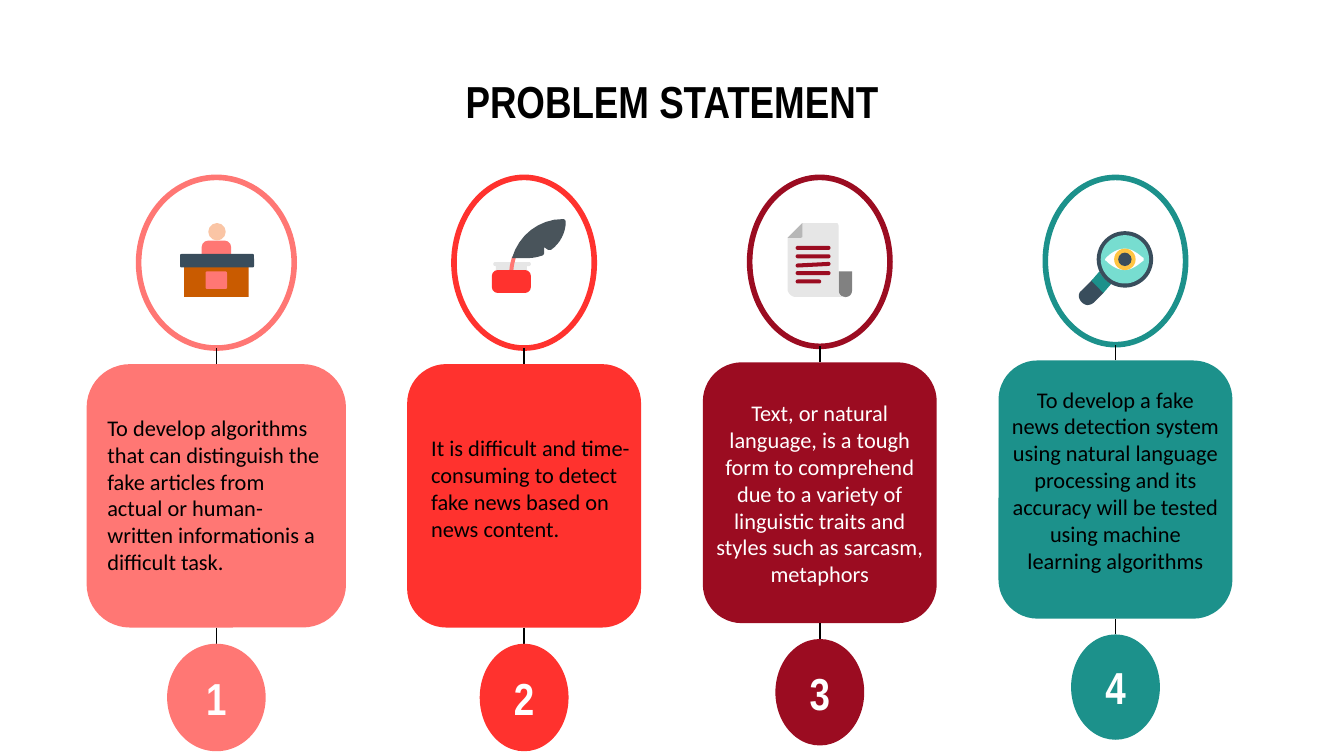
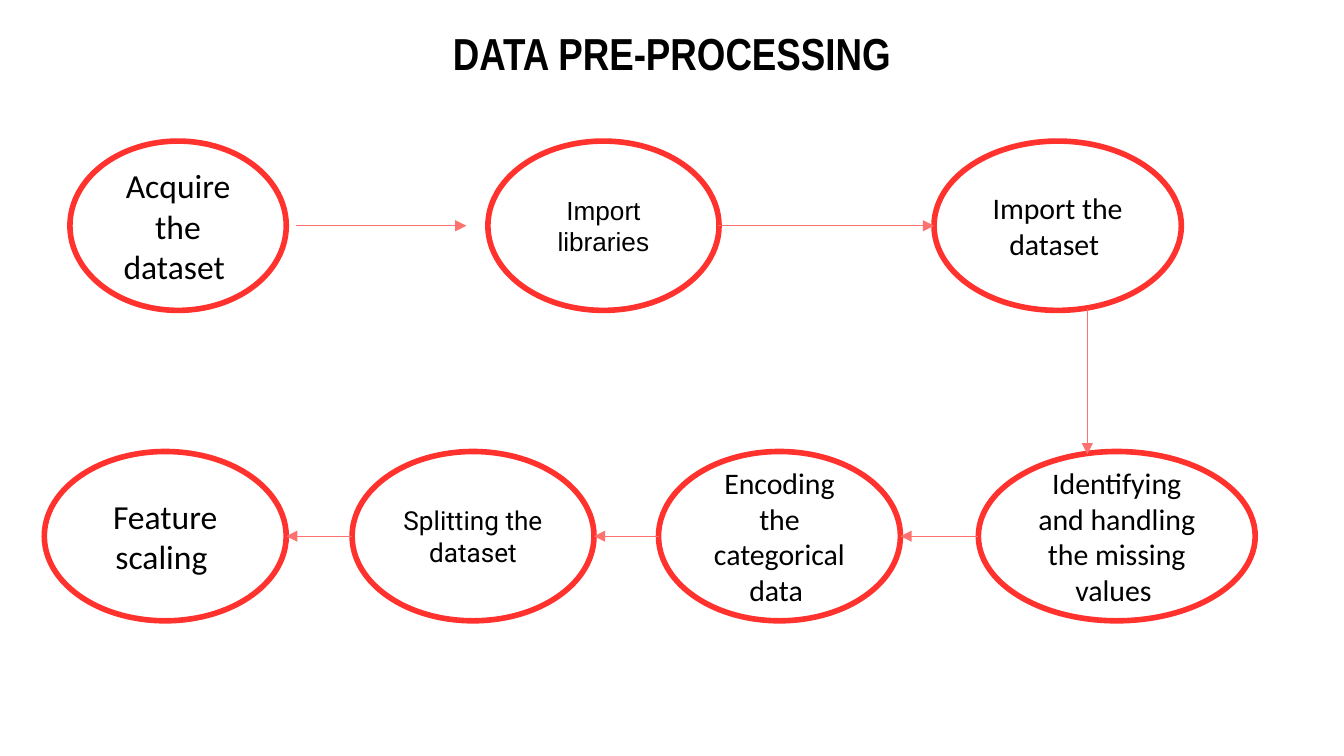
from lxml import etree
from pptx import Presentation
from pptx.dml.color import RGBColor
from pptx.enum.shapes import MSO_CONNECTOR, MSO_SHAPE
from pptx.enum.text import MSO_ANCHOR, MSO_AUTO_SIZE, PP_ALIGN
from pptx.oxml.ns import qn
from pptx.util import Inches, Pt

OVAL = MSO_SHAPE.OVAL
RECTANGLE = MSO_SHAPE.RECTANGLE
ROUNDED = MSO_SHAPE.ROUNDED_RECTANGLE
ROUNDED_TOP = MSO_SHAPE.ROUND_2_SAME_RECTANGLE
STRAIGHT = MSO_CONNECTOR.STRAIGHT
LEFT, CENTER = PP_ALIGN.LEFT, PP_ALIGN.CENTER
MIDDLE, TOP = MSO_ANCHOR.MIDDLE, MSO_ANCHOR.TOP
FIXED_SIZE = MSO_AUTO_SIZE.NONE

BLACK = RGBColor(0x00, 0x00, 0x00)
WHITE = RGBColor(0xFF, 0xFF, 0xFF)
CORAL = RGBColor(0xFF, 0x77, 0x74)
RED = RGBColor(0xFF, 0x32, 0x2E)
MAROON = RGBColor(0x9B, 0x0C, 0x21)
TEAL = RGBColor(0x1C, 0x91, 0x8B)
ARROW_PINK = RGBColor(0xFD, 0x71, 0x6E)
SKIN = RGBColor(0xFA, 0xC5, 0xA5)
WOOD = RGBColor(0xC9, 0x5B, 0x00)
NAVY = RGBColor(0x39, 0x4D, 0x5C)
AQUA = RGBColor(0x77, 0xDD, 0xD0)
AMBER = RGBColor(0xFF, 0xC5, 0x43)
SLATE = RGBColor(0x49, 0x54, 0x5B)
PAPER = RGBColor(0xE6, 0xE6, 0xE6)
FOLD_GRAY = RGBColor(0xB7, 0xB7, 0xB7)
CURL_GRAY = RGBColor(0x81, 0x81, 0x81)

HEADING_FONT = "Arial Narrow"
BODY_FONT = "Calibri"

# Problem columns: heights at full scale, widths as a share of the card
COLUMN_TOP = 1.32
RING_HEIGHT, CARD_HEIGHT, BADGE_HEIGHT, LINK_HEIGHT = 1.27, 1.96, 0.8, 0.12
RING_SHARE, BADGE_SHARE = 0.6, 0.38

# Colour, centre, card width, height scale, caption box, alignment, text colour, text
PROBLEMS = [
    (CORAL, 1.61, 1.93, 1, (0.7, 2.98, 1.81, 1.41), LEFT, BLACK,
     "To develop algorithms that can distinguish the fake articles from "
     "actual or human-written informationis a difficult task."),
    (RED, 3.9, 1.74, 1, (3.11, 3.13, 1.79, 1.42), LEFT, BLACK,
     "It is difficult and time-consuming to detect fake news based on "
     "news content."),
    (MAROON, 6.1, 1.74, 0.99, (5.23, 2.87, 1.74, 1.18), CENTER, WHITE,
     "Text, or natural language, is a tough form to comprehend due to a "
     "variety of linguistic traits and styles such as sarcasm, metaphors"),
    (TEAL, 8.3, 1.74, 0.98, (7.43, 2.77, 1.74, 1.9), CENTER, BLACK,
     "To develop a fake news detection system using natural language "
     "processing and its accuracy will be tested using machine learning "
     "algorithms"),
]

# Steps by row, left to right: left, width, text, size, font
STEP_HEIGHT = 1.26
UPPER_ROW, LOWER_ROW = 1.05, 3.36
UPPER_STEPS = [
    (0.52, 1.61, "Acquire the dataset ", 18, BODY_FONT),
    (3.63, 1.72, "Import libraries", 14, "Arial"),
    (6.95, 1.84, "Import the dataset ", 16, BODY_FONT),
]
LOWER_STEPS = [
    (0.33, 1.8, "Feature scaling ", 18, BODY_FONT),
    (2.62, 1.8, "Splitting the dataset", 14, "Roboto"),
    (4.9, 1.8, "Encoding the categorical data ", 16, BODY_FONT),
    (7.28, 2.06, "Identifying and handling the missing values ", 16, BODY_FONT),
]


def write(shape, text, size, font, color, align=CENTER, anchor=MIDDLE, bold=False):
    frame = shape.text_frame
    frame.text = text
    frame.word_wrap = True
    frame.auto_size = FIXED_SIZE
    frame.vertical_anchor = anchor
    frame.margin_left = frame.margin_right = Inches(0.1)
    frame.margin_top = frame.margin_bottom = Inches(0.1)
    paragraph = frame.paragraphs[0]
    paragraph.alignment = align
    for run in paragraph.runs:
        run.font.size = Pt(size)
        run.font.name = font
        run.font.bold = bold
        run.font.color.rgb = color


def paint(shape, fill, line=None):
    shape.shadow.inherit = False
    shape.fill.solid()
    shape.fill.fore_color.rgb = fill
    if line is None:
        shape.line.fill.background()
    else:
        shape.line.color.rgb = line
        shape.line.width = Pt(3)


def add_block(shapes, kind, box, fill, line=None, corner=None):
    shape = shapes.add_shape(kind, *map(Inches, box))
    paint(shape, fill, line)
    if corner is not None:
        shape.adjustments[0] = corner
    return shape


def add_disc(shapes, center_x, center_y, diameter, fill):
    radius = diameter / 2
    add_block(shapes, OVAL, (center_x - radius, center_y - radius, diameter, diameter), fill)


def add_outline(shapes, fill, start, *segments):
    """Two numbers make a straight segment, six a Bézier curve."""
    points = [start]
    for segment in segments:
        if len(segment) == 2:
            points.append(segment)
            continue
        x0, y0 = points[-1]
        x1, y1, x2, y2, x3, y3 = segment
        for step in range(1, 9):
            t = step / 8
            u = 1 - t
            weights = (u ** 3, 3 * u * u * t, 3 * u * t * t, t ** 3)
            points.append((sum(w * x for w, x in zip(weights, (x0, x1, x2, x3))),
                           sum(w * y for w, y in zip(weights, (y0, y1, y2, y3)))))
    points = [(Inches(x), Inches(y)) for x, y in points]
    builder = shapes.build_freeform(*points[0])
    builder.add_line_segments(points[1:], close=True)
    paint(builder.convert_to_shape(), fill)


def add_line(shapes, start, end, color, arrow=False):
    connector = shapes.add_connector(STRAIGHT, *map(Inches, (*start, *end)))
    connector.line.color.rgb = color
    connector.line.width = Pt(0.75)
    if arrow:
        etree.SubElement(connector.line._get_or_add_ln(), qn("a:tailEnd"), type="triangle")
    etree.SubElement(connector._element.spPr, qn("a:effectLst"))
    return connector


def add_titled_slide(presentation, text, top):
    slide = presentation.slides.add_slide(presentation.slide_layouts[5])
    title = slide.shapes.title
    title.left, title.top = Inches(0.5), Inches(top)
    title.width, title.height = Inches(9), Inches(0.63)
    write(title, text, 24, HEADING_FONT, BLACK, anchor=TOP, bold=True)
    return slide


def add_problem(slide, number, color, center, width, scale, caption_box, align,
                text_color, text):
    shapes = slide.shapes.add_group_shape().shapes
    ring_height, card_height, badge_height, link = (
        height * scale for height in (RING_HEIGHT, CARD_HEIGHT, BADGE_HEIGHT, LINK_HEIGHT))
    ring_bottom = COLUMN_TOP + ring_height
    card_top = ring_bottom + link
    card_bottom = card_top + card_height
    badge_top = card_bottom + link

    def centered(kind, top, part_width, height, fill, line=None):
        box = (center - part_width / 2, top, part_width, height)
        return add_block(shapes, kind, box, fill, line)

    card = centered(ROUNDED, card_top, width, card_height, color)
    centered(OVAL, COLUMN_TOP, width * RING_SHARE, ring_height, WHITE, color)
    for site, card_edge, far_end in ((0, card_top, ring_bottom), (2, card_bottom, badge_top)):
        link_line = add_line(shapes, (center, card_edge), (center, far_end), BLACK)
        link_line.begin_connect(card, site)
    badge = centered(OVAL, badge_top, width * BADGE_SHARE, badge_height, color)
    write(badge, str(number), 24, HEADING_FONT, WHITE, bold=True)
    caption = shapes.add_textbox(*map(Inches, caption_box))
    write(caption, text, 12, BODY_FONT, text_color, align, TOP)


def add_speaker_icon(shapes):
    add_block(shapes, ROUNDED_TOP, (1.5, 1.79, 0.22, 0.1), CORAL, corner=0.5)
    add_disc(shapes, 1.615, 1.725, 0.13, SKIN)
    add_block(shapes, RECTANGLE, (1.37, 1.98, 0.48, 0.23), WOOD)
    add_block(shapes, ROUNDED, (1.34, 1.89, 0.55, 0.1), NAVY, corner=0.1)
    add_block(shapes, ROUNDED, (1.53, 2.02, 0.16, 0.13), CORAL, corner=0.08)


def add_quill_icon(shapes):
    add_block(shapes, ROUNDED, (3.67, 1.95, 0.28, 0.03), PAPER, corner=0.5)
    add_block(shapes, RECTANGLE, (3.69, 1.97, 0.23, 0.05), PAPER)
    add_outline(shapes, CORAL, (3.81, 1.91), (3.8, 1.95, 3.79, 1.98, 3.79, 2.02),
                (3.82, 2.02), (3.82, 1.98, 3.83, 1.95, 3.84, 1.91))
    add_outline(shapes, SLATE, (4.19, 1.63), (4.01, 1.63, 3.86, 1.75, 3.81, 1.92),
                (3.94, 1.92), (3.97, 1.92, 4.01, 1.91, 4.04, 1.9),
                (4.04, 1.9, 4.05, 1.89, 4.05, 1.88), (4.05, 1.84), (4.08, 1.86),
                (4.1, 1.86), (4.17, 1.81, 4.21, 1.73, 4.21, 1.65),
                (4.21, 1.64, 4.2, 1.63, 4.19, 1.63))
    add_block(shapes, ROUNDED, (3.66, 2.01, 0.29, 0.17), RED, corner=0.25)


def add_article_icon(shapes):
    add_outline(shapes, CURL_GRAY, (6.24, 2.02), (6.24, 2.16),
                (6.24, 2.19, 6.26, 2.21, 6.29, 2.21),
                (6.32, 2.21, 6.34, 2.19, 6.34, 2.16), (6.34, 2.02))
    add_outline(shapes, PAPER, (5.97, 1.66), (5.86, 1.77), (5.86, 2.15),
                (5.86, 2.18, 5.89, 2.21, 5.92, 2.21), (6.29, 2.21),
                (6.26, 2.21, 6.24, 2.19, 6.24, 2.16), (6.24, 1.68),
                (6.24, 1.67, 6.23, 1.66, 6.23, 1.66))
    add_outline(shapes, FOLD_GRAY, (5.97, 1.66), (5.86, 1.77), (5.95, 1.77),
                (5.96, 1.77, 5.97, 1.77, 5.97, 1.76))
    for row, (width, tilt) in enumerate([(0.26, 0), (0.26, 0), (0.26, -3), (0.26, 0), (0.19, 0)]):
        text_line = add_block(shapes, ROUNDED, (5.92, 1.83 + row * 0.25 / 4, width, 0.03),
                              MAROON, corner=0.5)
        text_line.rotation = tilt


def add_magnifier_icon(shapes):
    add_outline(shapes, NAVY, (8.13, 2.08), (8.05, 2.16),
                (8.02, 2.18, 8.02, 2.22, 8.05, 2.25),
                (8.06, 2.26, 8.08, 2.27, 8.09, 2.27),
                (8.11, 2.27, 8.13, 2.26, 8.14, 2.25), (8.21, 2.18), (8.21, 2.17))
    add_outline(shapes, TEAL, (8.18, 2.02), (8.12, 2.09), (8.21, 2.18), (8.27, 2.11),
                (8.23, 2.09, 8.2, 2.06, 8.18, 2.02))
    for diameter, fill in ((0.42, NAVY), (0.36, AQUA)):
        add_disc(shapes, 8.37, 1.93, diameter, fill)
    add_outline(shapes, WHITE, (8.37, 1.85), (8.29, 1.85, 8.23, 1.92, 8.23, 1.92),
                (8.22, 1.93, 8.22, 1.94, 8.23, 1.94),
                (8.23, 1.94, 8.29, 2.01, 8.37, 2.01),
                (8.44, 2.01, 8.5, 1.94, 8.51, 1.94),
                (8.51, 1.94, 8.51, 1.93, 8.51, 1.92),
                (8.5, 1.92, 8.44, 1.85, 8.37, 1.85))
    for diameter, fill in ((0.16, AMBER), (0.1, NAVY)):
        add_disc(shapes, 8.37, 1.93, diameter, fill)


def add_step_row(slide, top, steps):
    for left, width, text, size, font in steps:
        step = add_block(slide.shapes, OVAL, (left, top, width, STEP_HEIGHT), WHITE, RED)
        write(step, text, size, font, BLACK)


def build_problem_slide(presentation):
    slide = add_titled_slide(presentation, "PROBLEM STATEMENT", 0.45)
    for number, problem in enumerate(PROBLEMS, 1):
        add_problem(slide, number, *problem)
    for add_icon in (add_speaker_icon, add_quill_icon, add_article_icon, add_magnifier_icon):
        add_icon(slide.shapes.add_group_shape().shapes)


def build_process_slide(presentation):
    slide = add_titled_slide(presentation, "DATA PRE-PROCESSING", 0.09)
    add_step_row(slide, UPPER_ROW, UPPER_STEPS)
    add_step_row(slide, LOWER_ROW, LOWER_STEPS)
    upper_middle = UPPER_ROW + STEP_HEIGHT / 2
    lower_middle = LOWER_ROW + STEP_HEIGHT / 2
    # Rightwards along the upper row, then down
    arrows = [((2.2, upper_middle), (3.47, upper_middle)),
              ((5.34, upper_middle), (6.95, upper_middle)),
              ((8.09, 2.3), (8.09, 3.38))]
    # Leftwards along the lower row
    for target, source in reversed(list(zip(LOWER_STEPS, LOWER_STEPS[1:]))):
        arrows.append(((source[0], lower_middle), (target[0] + target[1], lower_middle)))
    for start, end in arrows:
        add_line(slide.shapes, start, end, ARROW_PINK, arrow=True)


def main():
    presentation = Presentation()
    # Widescreen, 16:9
    presentation.slide_width = Inches(10)
    presentation.slide_height = Inches(10 * 9 / 16)
    build_problem_slide(presentation)
    build_process_slide(presentation)
    presentation.save("out.pptx")


if __name__ == "__main__":
    main()
